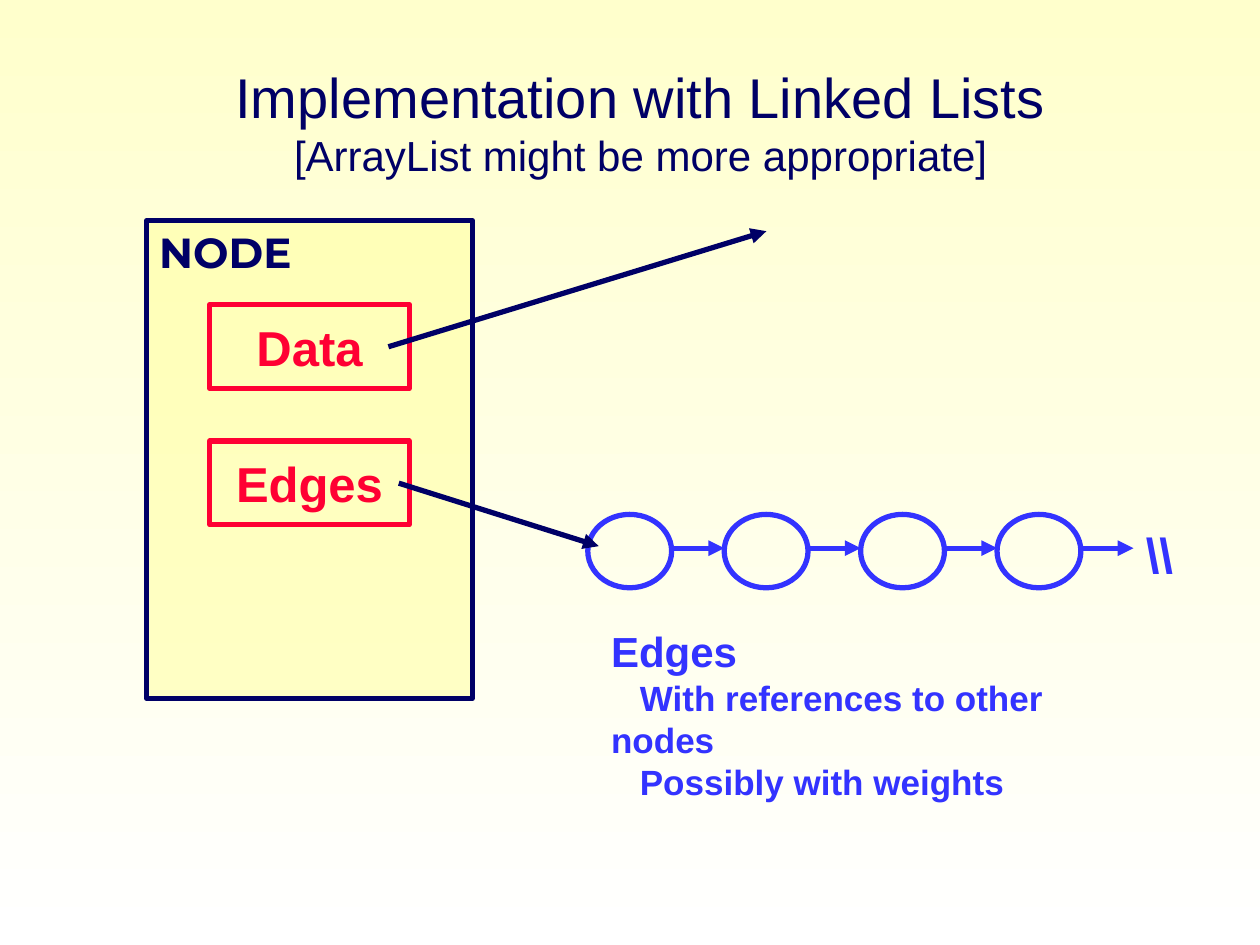
from lxml import etree
from pptx import Presentation
from pptx import util as u
from pptx.dml.color import RGBColor
from pptx.enum import shapes, text
from pptx.oxml.ns import qn

COLORS = {"navy": "000066", "red": "FF0033", "blue": "3333FF",
          "node": "FFFF99", "top": "FFFFCC", "bottom": "FFFFFF"}

TITLE = [("Implementation with Linked Lists", 32),
         ("[ArrayList might be more appropriate]", 24)]
FIELDS = [("Data", 6.14), ("Edges", 8.89)]  # label, top
POINTERS = [((7.83, 6.99), (15.45, 4.66)),
            ((8.04, 9.74), (12.07, 11.01))]
CAPTION = [("Edges", 24, 0),  # wording, size, first-line indent
           ("With references to other nodes", 20, 0.58),
           ("Possibly with weights", 20, 0.58)]
END_MARK = "\\\\"

EDGE_COUNT = 4
CHAIN_LEFT, CHAIN_TOP, CHAIN_PITCH = 11.85, 10.37, 2.75
EDGE_WIDTH, EDGE_HEIGHT = 1.69, 1.48
LINK_Y = 11.05


def rgb(color):
    return RGBColor.from_string(COLORS[color])


def cm(*lengths):
    return [u.Cm(length) for length in lengths]


def style_run(run, size, color, bold=True, font="Arial"):
    run.font.name, run.font.size, run.font.bold = font, u.Pt(size), bold
    run.font.color.rgb = rgb(color)


def add_outline(parent, kind, box, color):
    outline = parent.add_shape(kind, *cm(*box))
    outline.shadow.inherit = False
    outline.fill.background()
    outline.line.color.rgb = rgb(color)
    outline.line.width = u.Pt(3)
    return outline


def add_arrow(parent, start, end, color):
    arrow = parent.add_connector(shapes.MSO_CONNECTOR.STRAIGHT, *cm(*start, *end))
    arrow.line.color.rgb = rgb(color)
    arrow.line.width = u.Pt(3)
    etree.SubElement(arrow.line._get_or_add_ln(), qn("a:tailEnd"), type="triangle")
    etree.SubElement(arrow._element.spPr, qn("a:effectLst"))


def add_label(shape, wording, size, color, align, anchor, font="Arial"):
    frame = shape.text_frame
    frame.text = wording
    frame.word_wrap = True
    frame.vertical_anchor = anchor
    frame.paragraphs[0].alignment = align
    style_run(frame.paragraphs[0].runs[0], size, color, font=font)


def add_title(slide):
    title = slide.shapes.title
    title.left, title.top, title.width, title.height = cm(2.12, 0.85, 21.59, 3.18)
    frame = title.text_frame
    frame.text = "\v".join(line for line, size in TITLE)
    frame.vertical_anchor = text.MSO_ANCHOR.MIDDLE
    frame.paragraphs[0].alignment = text.PP_ALIGN.CENTER
    for run, (line, size) in zip(frame.paragraphs[0].runs, TITLE):
        style_run(run, size, "navy", bold=False)


def add_node(slide):
    rectangle = shapes.MSO_SHAPE.RECTANGLE
    node = add_outline(slide.shapes, rectangle, (2.96, 4.45, 6.56, 9.63), "navy")
    node.fill.solid()
    node.fill.fore_color.rgb = rgb("node")
    fill_color = node._element.spPr.find(qn("a:solidFill"))[0]
    etree.SubElement(fill_color, qn("a:alpha"), val="50000")
    add_label(node, "NODE", 24, "navy", text.PP_ALIGN.LEFT,
              text.MSO_ANCHOR.TOP, "Montserrat")
    for name, top in FIELDS:
        field = add_outline(slide.shapes, rectangle, (4.23, top, 4.02, 1.69), "red")
        add_label(field, name, 28, "red", text.PP_ALIGN.CENTER,
                  text.MSO_ANCHOR.MIDDLE)


def add_edge_chain(slide):
    chain = slide.shapes.add_group_shape().shapes
    for i in range(EDGE_COUNT):
        left = CHAIN_LEFT + i * CHAIN_PITCH
        add_outline(chain, shapes.MSO_SHAPE.OVAL,
                    (left, CHAIN_TOP, EDGE_WIDTH, EDGE_HEIGHT), "blue")
        add_arrow(chain, (left + EDGE_WIDTH, LINK_Y),
                  (left + CHAIN_PITCH, LINK_Y), "blue")
    chain_end = CHAIN_LEFT + EDGE_COUNT * CHAIN_PITCH
    end_mark = chain.add_textbox(*cm(chain_end, 10.44, 1.07, 1.45))
    add_label(end_mark, END_MARK, 28, "blue", text.PP_ALIGN.LEFT,
              text.MSO_ANCHOR.TOP)


def add_caption(slide):
    frame = slide.shapes.add_textbox(*cm(12.07, 12.49, 11.35, 2.97)).text_frame
    frame.word_wrap = True
    frame.text = "\n".join(line for line, size, indent in CAPTION)
    for paragraph, (line, size, indent) in zip(frame.paragraphs, CAPTION):
        style_run(paragraph.runs[0], size, "blue")
        paragraph._p.get_or_add_pPr().set("indent", str(u.Cm(indent)))


def main():
    prs = Presentation()
    prs.slide_width, prs.slide_height = cm(25.4, 19.05)
    slide = prs.slides.add_slide(prs.slide_layouts[5])
    background = slide.background.fill
    background.gradient()
    background.gradient_angle = 270
    for stop, color in zip(background.gradient_stops, ("top", "bottom")):
        stop.color.rgb = rgb(color)

    add_title(slide)
    add_node(slide)
    add_edge_chain(slide)
    add_caption(slide)
    for start, end in POINTERS:
        add_arrow(slide.shapes, start, end, "navy")
    prs.save("out.pptx")


if __name__ == "__main__":
    main()
